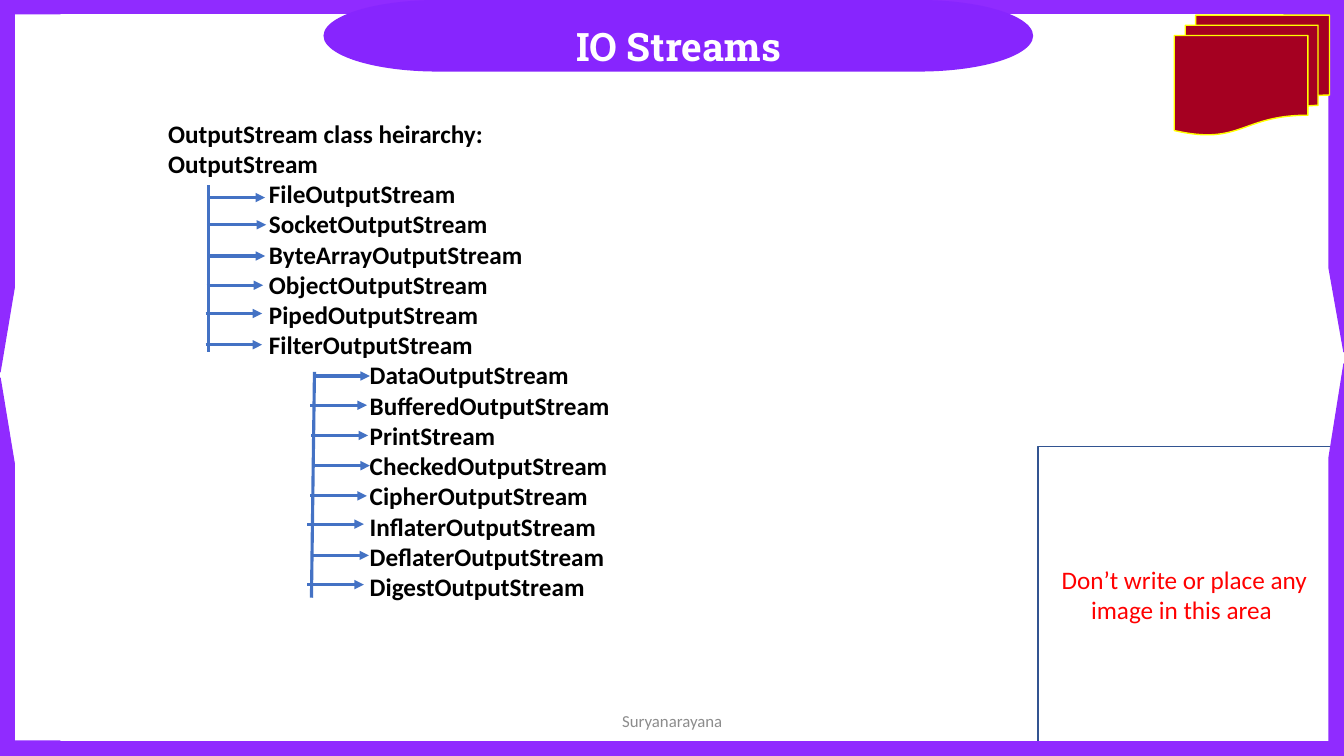
"""Build the IO Streams slide showing the OutputStream class hierarchy."""
from dataclasses import dataclass

from lxml.etree import SubElement
from pptx import Presentation
from pptx.dml.color import RGBColor
from pptx.enum.shapes import MSO_CONNECTOR, MSO_SHAPE as Preset
from pptx.enum.text import MSO_ANCHOR as Anchor, MSO_AUTO_SIZE as AutoSize, PP_ALIGN as Align
from pptx.oxml.ns import qn
from pptx.shapes.autoshape import Shape
from pptx.slide import Slide
from pptx.util import Pt

COLORS = {
    "frame": "902BFF", "banner": "8725FE", "white": "FFFFFF", "black": "000000",
    "maroon": "A50021", "yellow": "FFFF00", "box_line": "325491", "red": "FF0000",
    "tree": "4472C4", "footer": "8C8C8C",
}
PAGE_WIDTH, PAGE_HEIGHT = 960, 540
CORNER_WIDTH = 44.64
BAR_HEIGHT = 10.08
ARROW_LENGTH = 40.32
INDENT = 72


@dataclass
class Panel:
    preset: Preset
    left: float
    top: float
    width: float
    height: float
    fill: str = "frame"
    line: str | None = "frame"
    adjustments: tuple[float, ...] = ()
    rotation: float = 0
    flipped: bool = False


@dataclass
class Label:
    lines: list[tuple[int, str]]
    size: float
    color: str
    font: str = "Calibri"
    bold: bool = False
    align: Align = Align.CENTER
    anchor: Anchor = Anchor.MIDDLE
    auto_size: AutoSize = AutoSize.NONE


@dataclass
class Branch:
    trunk: tuple[float, float, float, float]
    arrow_starts: list[tuple[float, float]]


FRAME = [
    Panel(Preset.HALF_FRAME, 0, 0, CORNER_WIDTH, 265.68, adjustments=(0.218, 0.228)),
    Panel(Preset.HALF_FRAME, PAGE_WIDTH - CORNER_WIDTH, 0, CORNER_WIDTH, 251.28,
          adjustments=(0.228, 0.239), flipped=True),
    Panel(Preset.HALF_FRAME, 0, 270, CORNER_WIDTH, 270,
          adjustments=(0.239, 0.228), rotation=180, flipped=True),
    Panel(Preset.RECTANGLE, 0, -0.72, PAGE_WIDTH, BAR_HEIGHT),
    Panel(Preset.FLOWCHART_TERMINATOR, 231.12, 0, 506.88, 51.12, "banner", None),
    Panel(Preset.FLOWCHART_MULTIDOCUMENT, 838.8, 10.8, 110.88, 85.68, "maroon", "yellow"),
]
RESERVED_AREA = Panel(Preset.RECTANGLE, 741.6, 318.96, 208.8, 210.96, "white", "box_line")
LOWER_FRAME = [
    Panel(Preset.HALF_FRAME, PAGE_WIDTH - CORNER_WIDTH, 259.92, CORNER_WIDTH, 280.08,
          adjustments=(0.228, 0.239), rotation=180),
    Panel(Preset.RECTANGLE, 0, PAGE_HEIGHT - BAR_HEIGHT, PAGE_WIDTH, BAR_HEIGHT),
]

HEADINGS = ["OutputStream class heirarchy:", "OutputStream"]
STREAMS = ["File", "Socket", "ByteArray", "Object", "Piped", "Filter"]
FILTERS = ["Data", "Buffered", "Print", "Checked", "Cipher", "Inflater", "Deflater", "Digest"]
HIERARCHY = (
    [(0, heading) for heading in HEADINGS]
    + [(1, f"{name}OutputStream") for name in STREAMS]
    + [(2, "PrintStream" if name == "Print" else f"{name}OutputStream") for name in FILTERS]
)

BRANCHES = [
    Branch((149.04, 132.48, 149.04, 251.28),
           [(149.04, 141.12), (149.76, 160.56), (149.04, 182.88),
            (147.6, 203.76), (146.88, 223.92), (146.88, 246.24)]),
    Branch((224.64, 265.68, 222.48, 426.96),
           [(223.92, 268.56), (221.76, 289.44), (222.48, 311.04), (223.92, 332.64),
            (221.76, 354.24), (219.6, 374.4), (223.2, 396.72), (219.6, 417.6)]),
]


def color(name: str) -> RGBColor:
    return RGBColor.from_string(COLORS[name])


def draw_panel(page: Slide, panel: Panel) -> Shape:
    shape = page.shapes.add_shape(
        panel.preset, Pt(panel.left), Pt(panel.top), Pt(panel.width), Pt(panel.height))
    shape.shadow.inherit = False
    shape.fill.solid()
    shape.fill.fore_color.rgb = color(panel.fill)
    if panel.line:
        shape.line.color.rgb = color(panel.line)
        shape.line.width = Pt(1)
    else:
        shape.line.fill.background()
    for index, value in enumerate(panel.adjustments):
        shape.adjustments[index] = value
    shape.rotation = panel.rotation
    if panel.flipped:
        shape._element.spPr.find(qn("a:xfrm")).set("flipH", "1")
    return shape


def write_label(shape: Shape, label: Label) -> None:
    frame = shape.text_frame
    frame.word_wrap = True
    frame.auto_size = label.auto_size
    frame.vertical_anchor = label.anchor
    for index, (depth, text) in enumerate(label.lines):
        para = frame.add_paragraph() if index else frame.paragraphs[0]
        para.text = text
        para.alignment = label.align
        if depth:
            para._p.get_or_add_pPr().set("marL", str(Pt(depth * INDENT)))
        para.font.name = label.font
        para.font.size = Pt(label.size)
        para.font.bold = label.bold
        para.font.color.rgb = color(label.color)


def draw_text(page: Slide, left: float, top: float, width: float, height: float,
              label: Label) -> None:
    box = page.shapes.add_textbox(Pt(left), Pt(top), Pt(width), Pt(height))
    write_label(box, label)


def draw_line(page: Slide, left: float, top: float, right: float, bottom: float,
              arrow: bool = False) -> None:
    line = page.shapes.add_connector(
        MSO_CONNECTOR.STRAIGHT, Pt(left), Pt(top), Pt(right), Pt(bottom))
    line.line.color.rgb = color("tree")
    line.line.width = Pt(2.25)
    if arrow:
        SubElement(line.line._get_or_add_ln(), qn("a:tailEnd"), type="triangle")
    SubElement(line._element.spPr, qn("a:effectLst"))


def draw_branch(page: Slide, branch: Branch) -> None:
    draw_line(page, *branch.trunk)
    for left, top in branch.arrow_starts:
        draw_line(page, left, top, left + ARROW_LENGTH, top, arrow=True)


def main() -> None:
    deck = Presentation()
    deck.slide_width, deck.slide_height = Pt(PAGE_WIDTH), Pt(PAGE_HEIGHT)
    page = deck.slides.add_slide(deck.slide_layouts[6])

    for panel in FRAME:
        draw_panel(page, panel)
    draw_text(page, 239.04, 12.24, 491.04, 41.04, Label(
        [(0, "IO Streams")], 28, "white", "Roboto Slab", True,
        anchor=Anchor.TOP, auto_size=AutoSize.SHAPE_TO_FIT_TEXT))
    write_label(draw_panel(page, RESERVED_AREA), Label(
        [(0, "Don’t write or place any image in this area ")], 18, "red"))
    for panel in LOWER_FRAME:
        draw_panel(page, panel)

    draw_text(page, 113.04, 80.64, 473.04, 356.4, Label(
        HIERARCHY, 18, "black", bold=True, align=Align.LEFT,
        anchor=Anchor.TOP, auto_size=AutoSize.SHAPE_TO_FIT_TEXT))
    for branch in BRANCHES:
        draw_branch(page, branch)
    draw_text(page, 318.24, 500.4, 324, 28.8, Label([(0, "Suryanarayana")], 12, "footer"))

    deck.save("out.pptx")


if __name__ == "__main__":
    main()
